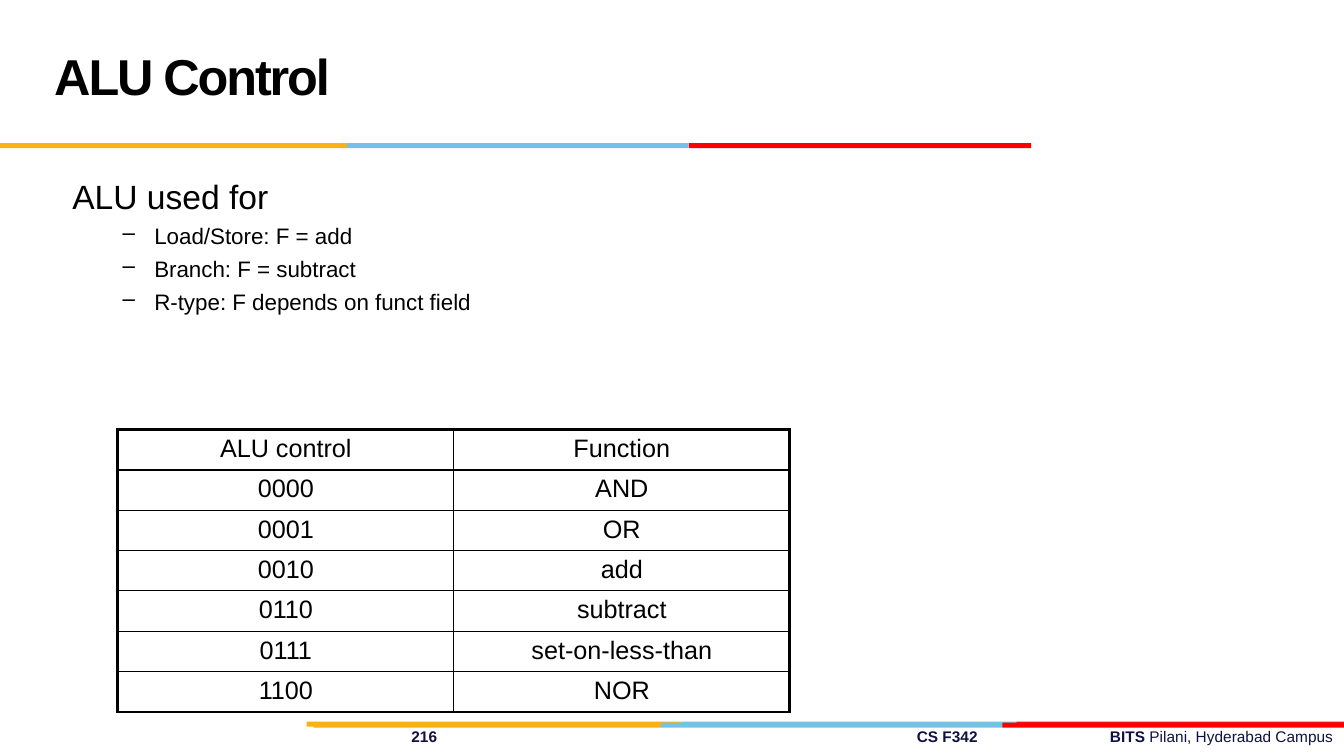
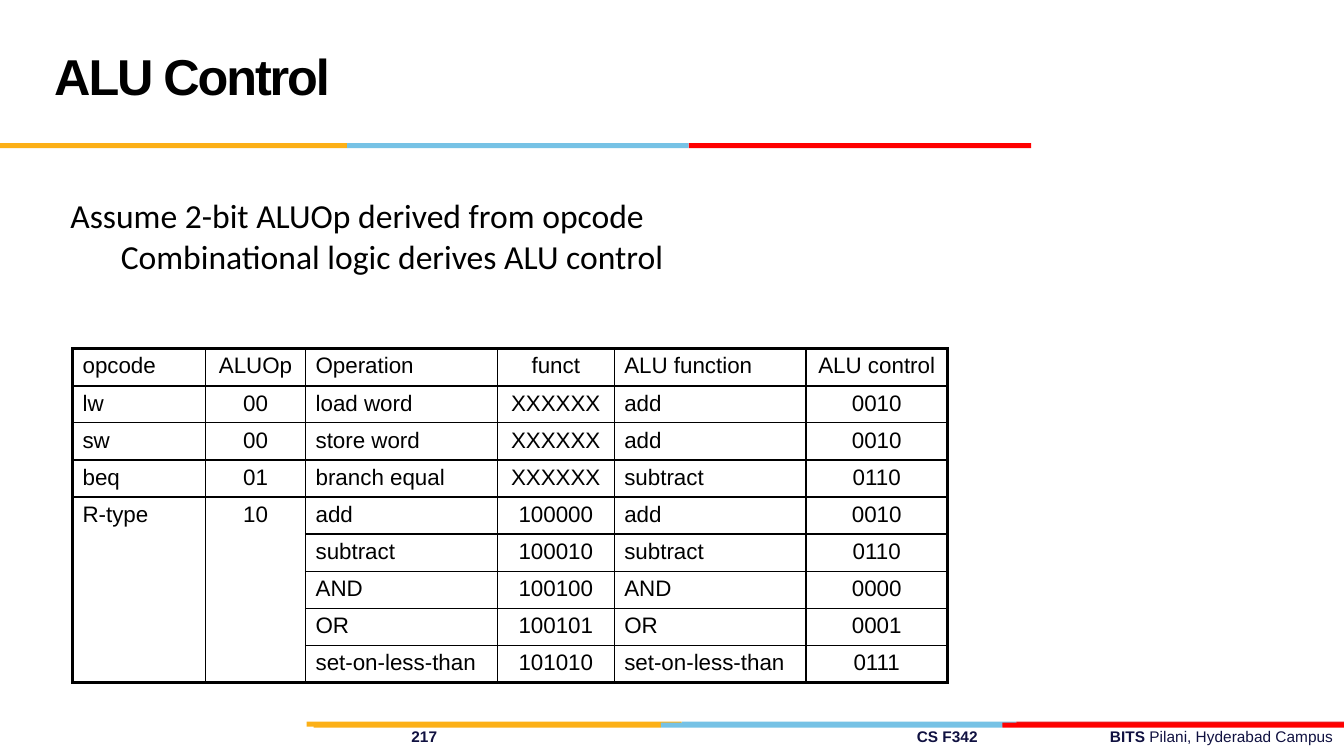
from lxml.etree import SubElement as Sub
from pptx import Presentation
from pptx.dml.color import RGBColor as Rgb
from pptx.enum.shapes import MSO_SHAPE as Shape
from pptx.enum.text import MSO_ANCHOR as Anchor, PP_ALIGN as Align
from pptx.oxml.ns import qn
from pptx.util import Pt

COLORS = {"ink": "000000", "navy": "101141", "gold": "FCB017",
          "sky": "76C2E5", "brick": "E31C24", "red": "FF0000"}
BANDS = [(219, 515.5, (268, 239, 234), ("gold", "sky", "brick")),
         (224, 516.2, (248, 244, 244), ("gold", "sky", "red")),
         (0, 102.2, (248, 244, 244.5), ("gold", "sky", "red"))]
TITLE = {"name": "Arial", "size": Pt(36), "bold": True}
HEAD = {"name": "Arial", "size": Pt(24)}
ITEM = {"name": "Arial", "size": Pt(16)}
LEAD = {"name": "Calibri", "size": Pt(24)}
CELL = {"name": "Arial", "size": Pt(18)}
FOOT = {"name": "Arial", "size": Pt(11), "bold": True}
TABS = (271, 632, 770)

USES = ["Load/Store: F = add", "Branch: F = subtract",
        "R-type: F depends on funct field"]
CODES = [("ALU control", "Function"), ("0000", "AND"), ("0001", "OR"),
         ("0010", "add"), ("0110", "subtract"),
         ("0111", "set-on-less-than"), ("1100", "NOR")]
OPS = [("opcode", "ALUOp", "Operation", "funct", "ALU function", "ALU control"),
       ("lw", "00", "load word", "XXXXXX", "add", "0010"),
       ("sw", "00", "store word", "XXXXXX", "add", "0010"),
       ("beq", "01", "branch equal", "XXXXXX", "subtract", "0110"),
       ("R-type", "10", "add", "100000", "add", "0010"),
       ("", "", "subtract", "100010", "subtract", "0110"),
       ("", "", "AND", "100100", "AND", "0000"),
       ("", "", "OR", "100101", "OR", "0001"),
       ("", "", "set-on-less-than", "101010", "set-on-less-than", "0111")]


def apply(obj, form):
    """Set each attribute named in the format dict."""
    for key, val in form.items():
        setattr(obj, key, val)


def write(para, text, form, color="ink"):
    """Add a formatted run to a paragraph."""
    run = para.add_run()
    run.text = text
    apply(run.font, form)
    run.font.color.rgb = Rgb.from_string(COLORS[color])
    return run


def frame(slide, box, **form):
    """Add a wrapping text box and return its frame."""
    area = slide.shapes.add_textbox(*map(Pt, box)).text_frame
    apply(area, {"word_wrap": True, **form})
    return area


def indent(para, left, hang=0):
    """Set the left margin and first-line indent of a paragraph."""
    props = para._p.get_or_add_pPr()
    props.set("marL", str(Pt(left)))
    props.set("indent", str(Pt(-hang)))
    return props


def band(slide, left, top, widths, names):
    """Draw a row of thin coloured bars end to end."""
    for width, name in zip(widths, names):
        bar = slide.shapes.add_shape(Shape.RECTANGLE, *map(Pt, (left, top, width, 3.6)))
        bar.shadow.inherit = False
        bar.fill.solid()
        bar.fill.fore_color.rgb = Rgb.from_string(COLORS[name])
        bar.line.fill.background()
        left += width


def footer(slide, box, page):
    """Write the page number, course and campus at tab stops."""
    para = frame(slide, box, margin_right=0).paragraphs[0]
    stops = Sub(para._p.get_or_add_pPr(), qn("a:tabLst"))
    for stop in TABS:
        Sub(stops, qn("a:tab"), pos=str(Pt(stop)), algn="l")
    write(para, f"\t{page}\tCS F342\tBITS ", FOOT, "navy")
    write(para, "Pilani, Hyderabad Campus", {**FOOT, "bold": False}, "navy")


def title(slide, box, text):
    """Write the slide title with tight letter spacing."""
    para = frame(slide, box, vertical_anchor=Anchor.MIDDLE).paragraphs[0]
    para.line_spacing = Pt(36)
    write(para, text, TITLE)._r.get_or_add_rPr().set("spc", "-150")


def base(deck, page):
    """Add a slide with the shared title, bands and footer."""
    slide = deck.slides.add_slide(deck.slide_layouts[6])
    footer(slide, (15.8, 515.5, 944, 21), page)
    for row in BANDS:
        band(slide, *row)
    title(slide, (31.7, 12.2, 664, 90), "ALU Control")
    return slide


def listing(slide, box, head, items):
    """Write a heading with dashed items under it."""
    area = frame(slide, box)
    write(area.paragraphs[0], head, HEAD)
    for item in items:
        para = area.add_paragraph()
        para.level = 1
        Sub(indent(para, 58.5, 22.5), qn("a:buChar"), char="–")
        para.space_before = Pt(4.3)
        write(para, item, ITEM)


def intro(slide, box, head, note):
    """Write a lead line and an indented second line."""
    area = frame(slide, box)
    write(area.paragraphs[0], head, LEAD)
    para = area.add_paragraph()
    para.level = 1
    indent(para, 36)
    write(para, note, LEAD)


def border(cell, sides):
    """Draw the cell borders from a dict of side widths."""
    props = cell._tc.get_or_add_tcPr()
    for side, width in sides.items():
        line = Sub(props, qn(f"a:ln{side}"), w=str(Pt(width)))
        Sub(Sub(line, qn("a:solidFill")), qn("a:srgbClr"), val=COLORS["ink"])


def grid(slide, left, top, widths, height, rows, form, mid, merge=()):
    """Add a ruled table, centring the columns listed in mid."""
    size = (sum(widths), height * len(rows))
    table = slide.shapes.add_table(len(rows), len(widths), *map(Pt, (left, top, *size))).table
    apply(table, {"first_row": False, "horz_banding": False})
    for col, width in zip(table.columns, widths):
        col.width = Pt(width)
    for row in table.rows:
        row.height = Pt(height)
    for start, end in merge:
        table.cell(*start).merge(table.cell(*end))
    for r, row in enumerate(rows):
        for c, text in enumerate(row):
            cell = table.cell(r, c)
            if not cell.is_spanned:
                para = cell.text_frame.paragraphs[0]
                para.alignment = Align.CENTER if c in mid else Align.LEFT
                write(para, text, form)
                end = r + (cell.span_height if cell.is_merge_origin else 1)
                border(cell, {"L": 1 if c else 2.25,
                              "R": 2.25 if c == len(row) - 1 else 1,
                              "T": {0: 2.25, 1: 1.5}.get(r, 1),
                              "B": 2.25 if end == len(rows) else 1 if r else 1.5})
            cell.fill.background()


def main():
    """Build and save the deck."""
    deck = Presentation()
    apply(deck, {"slide_width": Pt(960), "slide_height": Pt(540)})
    slide = base(deck, 216)
    listing(slide, (44.6, 122, 652, 187), "ALU used for", USES)
    grid(slide, 84.2, 306.7, (240, 240), 28.8, CODES, CELL, (0, 1))
    slide = base(deck, 217)
    grid(slide, 51.8, 249.1, (95, 71.5, 137, 83.5, 137, 101), 26.5, OPS, ITEM,
         (1, 3, 5), [((4, c), (8, c)) for c in (0, 1)])
    intro(slide, (43.2, 136, 679, 65.5), "Assume 2-bit ALUOp derived from opcode",
          "Combinational logic derives ALU control")
    deck.save("out.pptx")


if __name__ == "__main__":
    main()
